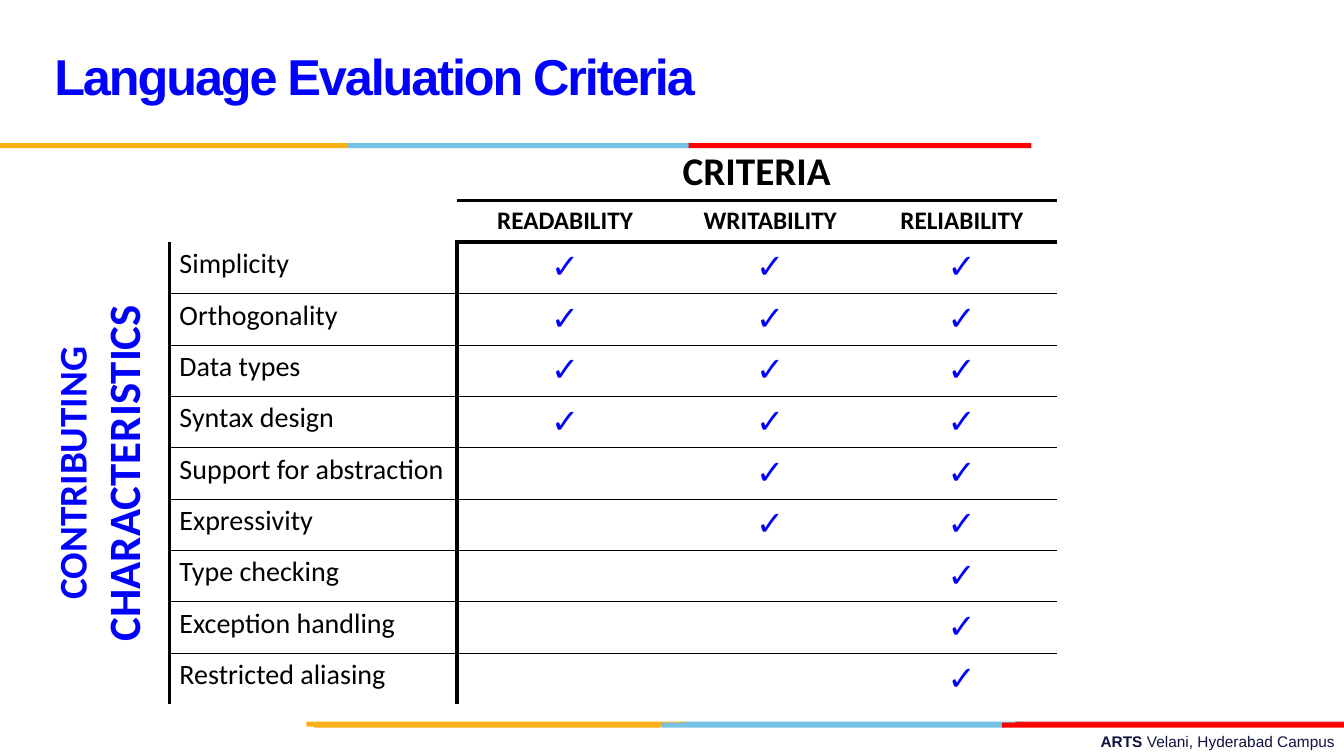
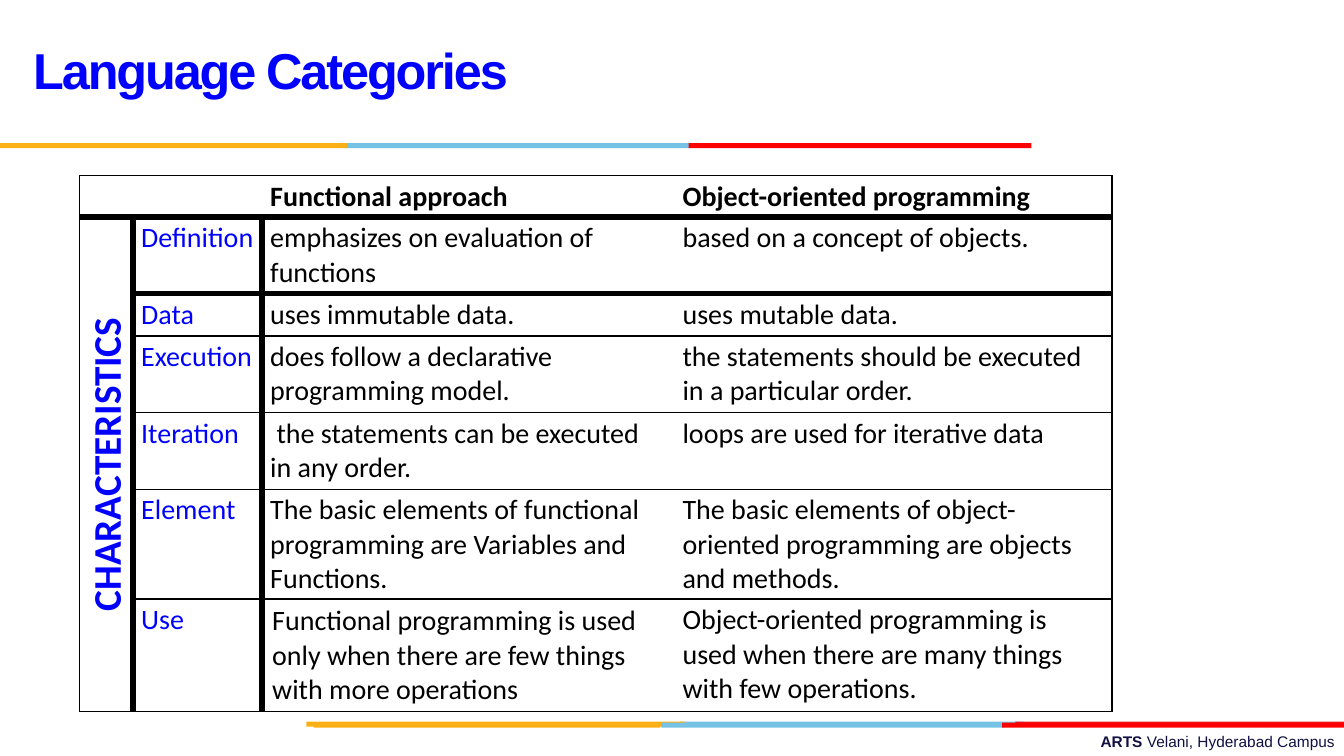
from lxml import etree
from pptx import Presentation
from pptx.dml.color import RGBColor
from pptx.enum import shapes, text
from pptx.oxml import ns
from pptx.util import Inches, Pt

BLUE = RGBColor(0x00, 0x00, 0xFF)
BLACK = RGBColor(0x00, 0x00, 0x00)
WHITE = RGBColor(0xFF, 0xFF, 0xFF)
NAVY = RGBColor(0x10, 0x11, 0x41)
SKY = RGBColor(0x76, 0xC2, 0xE5)
GOLD = RGBColor(0xFC, 0xB0, 0x17)
RED = RGBColor(0xFF, 0x00, 0x00)
BRICK = RGBColor(0xE3, 0x1C, 0x24)
PLAIN = "{2D5ABB26-0587-4C30-8999-92F81FD0307C}"
MID = text.PP_ALIGN.CENTER

# Bands shared by all slides: left, top, width, colour
BANDS = [
    (6.75, 7.16, 3.4, SKY), (10.07, 7.16, 3.26, BRICK), (3.04, 7.16, 3.76, GOLD),
    (6.56, 7.17, 3.4, SKY), (3.11, 7.17, 3.44, GOLD), (9.94, 7.17, 3.4, RED),
    (3.44, 1.42, 3.4, SKY), (0, 1.42, 3.44, GOLD), (6.83, 1.42, 3.4, RED),
]
# Titles: wording, left, top, height
TITLES = [
    ("Language Evaluation Criteria", 0.44, 0.17, 1.25),
    ("Language Categories", 0.23, 0.35, 0.78),
]


def write(para, words, size, color=BLACK, bold=False, face="Calibri", align=None):
    run = para.add_run()
    run.text = words
    run.font.size, run.font.bold, run.font.name = Pt(size), bold, face
    run.font.color.rgb = color
    if align is not None:
        para.alignment = align
    return run


def grid(page, left, top, cols, rows, spans, pads, fill, over, beside):
    """Table whose line widths come from over(row, col) and beside(row, col)."""
    table = page.shapes.add_table(
        len(rows), len(cols), Inches(left), Inches(top),
        Inches(sum(cols)), Inches(sum(rows))).table
    table.first_row = table.horz_banding = False
    table._tbl.tblPr.find(ns.qn("a:tableStyleId")).text = PLAIN
    for col, width in zip(table.columns, cols):
        col.width = Inches(width)
    for row, height in zip(table.rows, rows):
        row.height = Inches(height)
    for first, last in spans:
        table.cell(*first).merge(table.cell(*last))
    for r in range(len(rows)):
        for c in range(len(cols)):
            cell = table.cell(r, c)
            cell.margin_left = cell.margin_right = Inches(pads[0])
            cell.margin_top = cell.margin_bottom = Inches(pads[1])
            if fill is None:
                cell.fill.background()
            else:
                cell.fill.solid()
                cell.fill.fore_color.rgb = fill
            down = r + (cell.span_height if cell.is_merge_origin else 1)
            right = c + (cell.span_width if cell.is_merge_origin else 1)
            widths = [("L", beside(r, c)), ("R", beside(r, right)),
                      ("T", over(r, c)), ("B", over(down, c))]
            prop = cell._tc.get_or_add_tcPr()
            for spot, (side, width) in enumerate(widths):
                line = etree.Element(ns.qn("a:ln" + side), w=str(int(Pt(width))))
                if width:
                    paint = etree.SubElement(line, ns.qn("a:solidFill"))
                    etree.SubElement(paint, ns.qn("a:srgbClr"), val=str(BLACK))
                else:
                    etree.SubElement(line, ns.qn("a:noFill"))
                prop.insert(spot, line)
    return table


deck = Presentation()
deck.slide_width, deck.slide_height = Inches(13.33), Inches(7.5)

# Footer, bands and title
for words, left, top, height in TITLES:
    page = deck.slides.add_slide(deck.slide_layouts[6])
    foot = page.shapes.add_textbox(
        Inches(4.78), Inches(7.21), Inches(8.56), Inches(0.29)).text_frame
    foot.word_wrap = True
    para = foot.paragraphs[0]
    write(para, "ARTS ", 11, NAVY, True, "Arial", text.PP_ALIGN.RIGHT)
    write(para, "Velani, Hyderabad Campus", 11, NAVY, False, "Arial")
    for x, y, width, color in BANDS:
        band = page.shapes.add_shape(
            shapes.MSO_SHAPE.RECTANGLE, Inches(x), Inches(y), Inches(width), Inches(0.05))
        band.shadow.inherit = False
        band.fill.solid()
        band.fill.fore_color.rgb = color
        band.line.fill.background()
    head = page.shapes.add_textbox(
        Inches(left), Inches(top), Inches(9.22), Inches(height)).text_frame
    head.word_wrap = True
    head.vertical_anchor = text.MSO_ANCHOR.MIDDLE
    para = head.paragraphs[0]
    para.line_spacing = Pt(36)
    run = write(para, words, 36, BLUE, True, "Arial")
    run.font._element.set("spc", "-150")

# Slide 1: criteria table
TRAITS = [  # name, first criterion that is ticked
    ("Simplicity", 0), ("Orthogonality", 0), ("Data types", 0), ("Syntax design", 0),
    ("Support for abstraction", 1), ("Expressivity", 1), ("Type checking", 2),
    ("Exception handling", 2), ("Restricted aliasing", 2),
]
last = len(TRAITS) + 2
table = grid(
    deck.slides[0], 0.44, 1.42, [1.24, 2.85, 2.15, 1.92, 1.88],
    [0.57, 0.41] + [0.51] * len(TRAITS),
    [((0, 0), (1, 1)), ((0, 2), (0, 4)), ((2, 0), (last - 1, 0))], (0.1, 0.05), None,
    lambda r, c: 3 if c > 1 and r in (1, 2) else 0.25 if c and 2 < r < last else 0,
    lambda r, c: 3 if r > 1 and c in (1, 2) else 0)
write(table.cell(0, 2).text_frame.paragraphs[0], "CRITERIA", 28, BLACK, True, align=MID)
for c, words in enumerate(["READABILITY", "WRITABILITY", "RELIABILITY"], 2):
    write(table.cell(1, c).text_frame.paragraphs[0], words, 18, BLACK, True, align=MID)
side = table.cell(2, 0)
side._tc.get_or_add_tcPr().set("vert", "vert270")
write(side.text_frame.paragraphs[0], "CONTRIBUTING", 28, BLUE, True, align=MID)
write(side.text_frame.add_paragraph(), "CHARACTERISTICS", 32, BLUE, True, align=MID)
for r, (trait, start) in enumerate(TRAITS, 2):
    write(table.cell(r, 1).text_frame.paragraphs[0], trait, 20)
    for c in range(start + 2, 5):
        tick = table.cell(r, c)
        tick.vertical_anchor = text.MSO_ANCHOR.MIDDLE
        write(tick.text_frame.paragraphs[0], "\u2713", 24, BLUE, True, align=MID)

# Slide 2: comparison table
ROWS = [
    ("", "Functional approach", "Object-oriented programming"),
    ("Definition", "emphasizes on evaluation of functions", "based on a concept of objects."),
    ("Data", "uses immutable data.", "uses mutable data."),
    ("Execution", "does follow a declarative programming model.",
     "the statements should be executed in a particular order."),
    ("Iteration", "\u00a0the statements can be executed in any order.",
     "loops are used for iterative data"),
    ("Element", "The basic elements of functional programming are Variables and Functions.",
     "The basic elements of object-oriented programming are objects and methods."),
    ("Use", "Functional programming is used only when there are few things "
     "with more operations",
     "Object-oriented programming is used when there are many things with few operations."),
]
table = grid(
    deck.slides[1], 0.79, 1.74, [0.53, 1.28, 4.09, 4.34],
    [0.41, 0.76, 0.42, 0.76, 0.76, 1.09, 1.12], [((1, 0), (6, 0))], (0.08, 0.04), WHITE,
    lambda r, c: 4.5 if r == 1 or r == 2 and c else 1 if c or r in (0, 7) else 0,
    lambda r, c: 1 if c in (0, 4) else 4.5 if r and c < 3 else 0)
side = table.cell(1, 0)
side._tc.get_or_add_tcPr().set("vert", "vert270")
write(side.text_frame.paragraphs[0], "CHARACTERISTICS", 28, BLUE, True, align=MID)
for r, row in enumerate(ROWS):
    for c, words in enumerate(row, 1):
        if words:
            write(table.cell(r, c).text_frame.paragraphs[0], words, 20,
                  BLUE if c == 1 else BLACK, r == 0)
use = table.cell(6, 2)
use.vertical_anchor = text.MSO_ANCHOR.MIDDLE
use.margin_left = use.margin_right = Inches(0.1)

deck.save("out.pptx")
